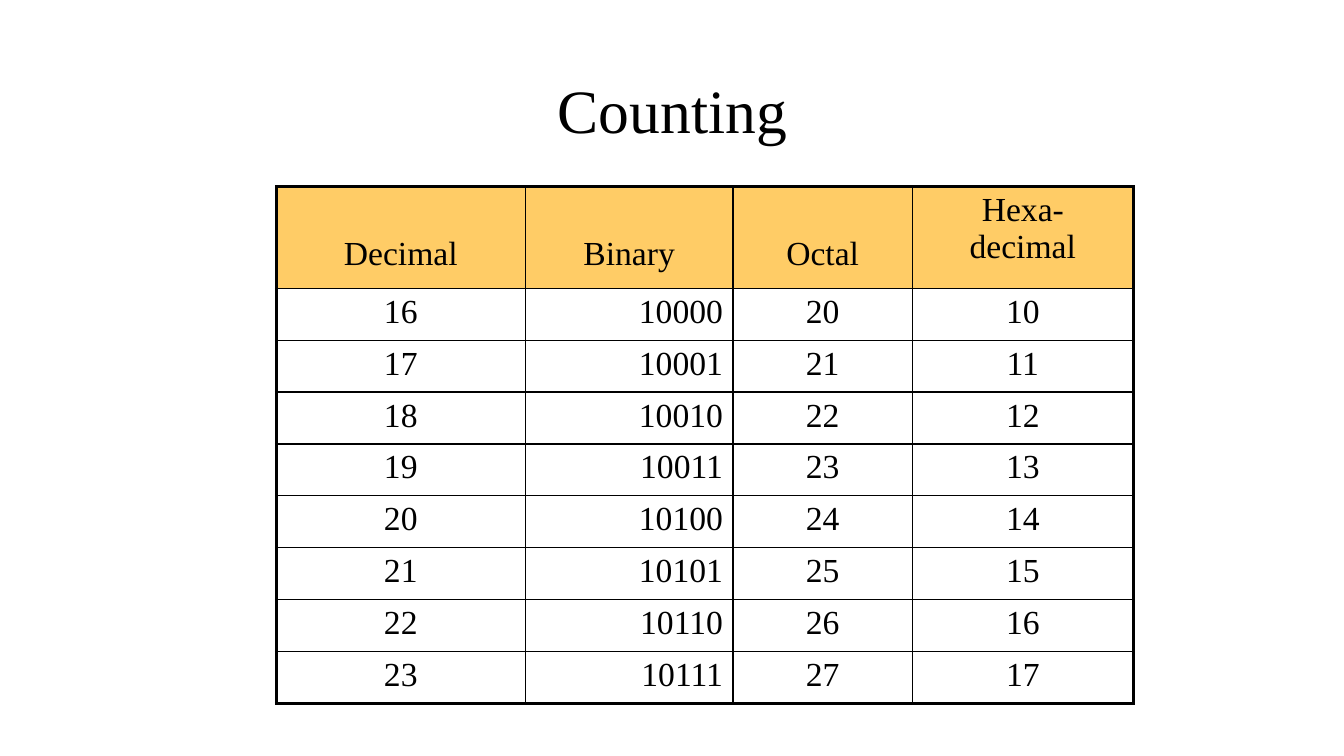
from dataclasses import dataclass

from lxml.etree import SubElement
from pptx import Presentation
from pptx.dml.color import RGBColor
from pptx.enum.text import MSO_ANCHOR, PP_ALIGN
from pptx.oxml.ns import qn
from pptx.slide import Slide
from pptx.table import Table, _Cell
from pptx.text.text import _Paragraph
from pptx.util import Inches, Length, Pt


@dataclass(frozen=True)
class Theme:
    font: str = "Times New Roman"
    ink: str = "000000"
    header_fill: str = "FFCC66"
    title_size: float = 44
    table_size: float = 24
    outer_line: float = 2.25
    inner_line: float = 1


@dataclass(frozen=True)
class Area:
    """A rectangle in grid columns and rows."""
    column: int
    row: int
    columns: int
    rows: int


@dataclass(frozen=True)
class NumberColumn:
    heading: str
    columns: int
    number_format: str
    alignment: PP_ALIGN = PP_ALIGN.CENTER
    heading_anchor: MSO_ANCHOR = MSO_ANCHOR.BOTTOM


THEME = Theme()

# The grid has 100 steps to the inch
GRID_COLUMNS, GRID_ROWS = 1333, 750
TITLE_AREA = Area(92, 40, 1150, 145)
TABLE_AREA = Area(274, 185, 850, 513)
HEADER_ROWS = 101
HEADING_GAP = 15

NUMBERS = range(16, 24)
NUMBER_COLUMNS = [
    NumberColumn("Decimal", 247, "d"),
    NumberColumn("Binary", 206, "b", PP_ALIGN.RIGHT),
    NumberColumn("Octal", 178, "o"),
    NumberColumn("Hexa-\vdecimal", 219, "x", heading_anchor=MSO_ANCHOR.TOP),
]


def grid(steps: float) -> Length:
    return Inches(steps / 100)


def place(area: Area) -> tuple[Length, ...]:
    return tuple(grid(n) for n in (area.column, area.row, area.columns, area.rows))


def write(paragraph: _Paragraph, text: str, size: float, alignment: PP_ALIGN) -> None:
    paragraph.text = text
    paragraph.alignment = alignment
    font_format = {"name": THEME.font, "size": Pt(size)}
    for run in paragraph.runs:
        for name, value in font_format.items():
            setattr(run.font, name, value)
        run.font.color.rgb = RGBColor.from_string(THEME.ink)


def draw_borders(cell: _Cell, outer_sides: dict[str, bool]) -> None:
    properties = cell._tc.get_or_add_tcPr()
    for side, is_outer in outer_sides.items():
        width = THEME.outer_line if is_outer else THEME.inner_line
        line = SubElement(properties, qn(f"a:ln{side}"), w=str(Pt(width)))
        fill = SubElement(line, qn("a:solidFill"))
        SubElement(fill, qn("a:srgbClr"), val=THEME.ink)


def add_title(slide: Slide, text: str) -> None:
    text_frame = slide.shapes.add_textbox(*place(TITLE_AREA)).text_frame
    frame_format = {"word_wrap": True, "vertical_anchor": MSO_ANCHOR.MIDDLE}
    for name, value in frame_format.items():
        setattr(text_frame, name, value)
    paragraph = text_frame.paragraphs[0]
    write(paragraph, text, THEME.title_size, PP_ALIGN.CENTER)
    paragraph.line_spacing = 0.9


def fill_cell(table: Table, row: int, column: int) -> None:
    cell = table.cell(row, column)
    number_column = NUMBER_COLUMNS[column]
    draw_borders(cell, {
        "L": column == 0,
        "R": column == len(NUMBER_COLUMNS) - 1,
        "T": row == 0,
        "B": row == len(NUMBERS),
    })
    paragraph = cell.text_frame.paragraphs[0]
    if row == 0:
        cell.fill.solid()
        cell.fill.fore_color.rgb = RGBColor.from_string(THEME.header_fill)
        cell.vertical_anchor = number_column.heading_anchor
        cell.margin_bottom = grid(HEADING_GAP)
        write(paragraph, number_column.heading, THEME.table_size, PP_ALIGN.CENTER)
    else:
        cell.fill.background()
        number = format(NUMBERS[row - 1], number_column.number_format)
        write(paragraph, number, THEME.table_size, number_column.alignment)


def add_number_table(slide: Slide) -> None:
    row_count = len(NUMBERS) + 1
    table = slide.shapes.add_table(
        row_count, len(NUMBER_COLUMNS), *place(TABLE_AREA)).table
    for name, value in {"first_row": False, "horz_banding": False}.items():
        setattr(table, name, value)

    # Column widths and row heights
    for table_column, number_column in zip(table.columns, NUMBER_COLUMNS):
        table_column.width = grid(number_column.columns)
    body_rows = (TABLE_AREA.rows - HEADER_ROWS) / len(NUMBERS)
    for index, table_row in enumerate(table.rows):
        table_row.height = grid(HEADER_ROWS if index == 0 else body_rows)

    # Headings and numbers
    for row in range(row_count):
        for column in range(len(NUMBER_COLUMNS)):
            fill_cell(table, row, column)


def main() -> None:
    presentation = Presentation()
    presentation.slide_width = grid(GRID_COLUMNS)
    presentation.slide_height = grid(GRID_ROWS)
    slide = presentation.slides.add_slide(presentation.slide_layouts[6])
    add_title(slide, "Counting")
    add_number_table(slide)
    presentation.save("out.pptx")


if __name__ == "__main__":
    main()
